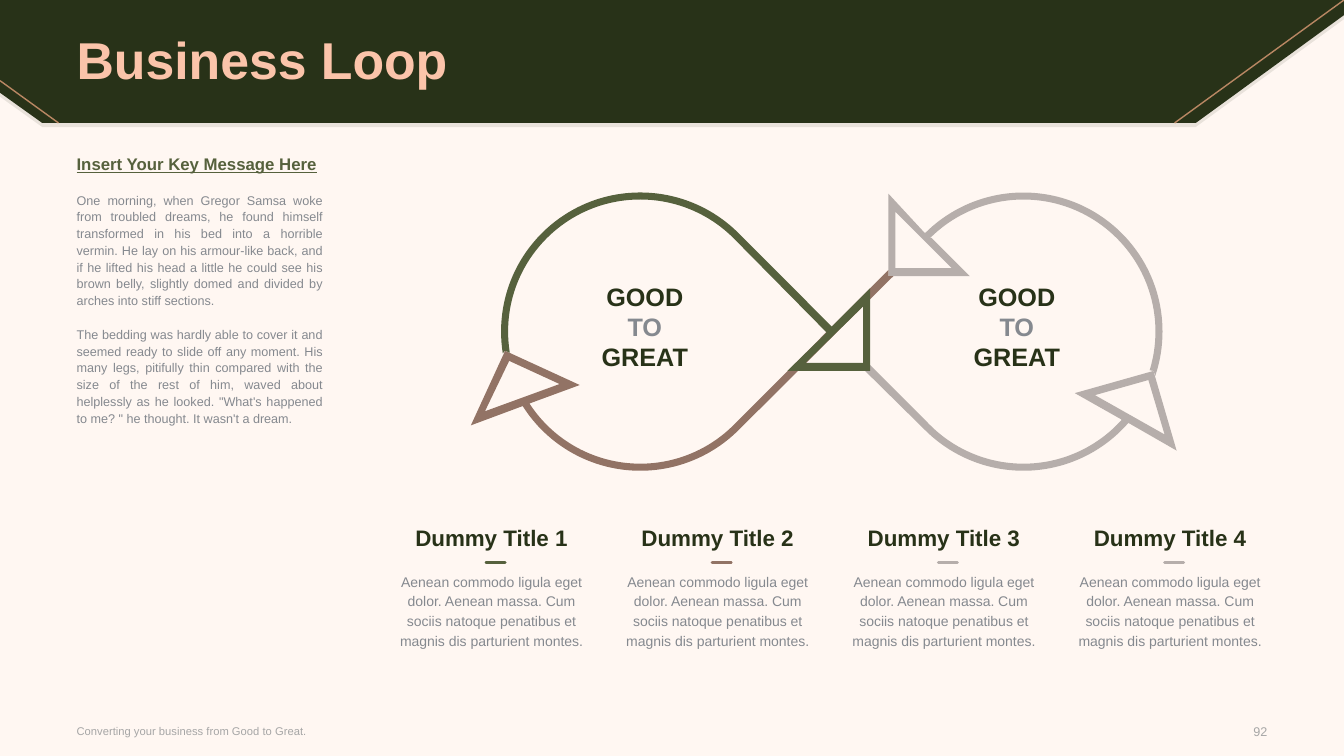
import math
from collections import namedtuple

from lxml import etree
from pptx import Presentation
from pptx import util as u
from pptx.dml.color import RGBColor
from pptx.enum import shapes, text
from pptx.oxml.ns import qn

PX = 9144
FONT = "Arial"
DARK, GREEN, BROWN, TAUPE = "283218", "56613D", "927365", "B6AEAB"
GREY, PALE, PEACH, COPPER, CREAM = "85898F", "A6A6A6", "FBC4AA", "B98763", "FFF7F2"
ALIGN = text.PP_ALIGN

Box = namedtuple("Box", "left top width height")
Curve = namedtuple("Curve", "leaving arriving end")


def px(length):
    return u.Emu(round(length * PX))


def inside(box, left, top, width, height):
    return Box(box.left + left, box.top + top, width, height)


def paint(color_holder, hex_color):
    color_holder.rgb = RGBColor.from_string(hex_color)


def style(paragraph, size, color, bold=False, align=ALIGN.LEFT, spacing=None):
    paragraph.font.name = FONT
    paragraph.font.size = u.Pt(size)
    paragraph.font.bold = bold
    paint(paragraph.font.color, color)
    paragraph.alignment = align
    paragraph.line_spacing = spacing


def prepare_frame(shape, anchor):
    frame = shape.text_frame
    frame.word_wrap = True
    frame.auto_size = text.MSO_AUTO_SIZE.NONE
    frame.vertical_anchor = anchor
    frame.margin_left = frame.margin_right = frame.margin_top = frame.margin_bottom = 0
    return frame


def place(shape, box):
    shape.left, shape.top, shape.width, shape.height = map(px, box)


def add_text(slide, box, wording, size, color, anchor=text.MSO_ANCHOR.TOP, **options):
    shape = slide.shapes.add_textbox(*map(px, box))
    frame = prepare_frame(shape, anchor)
    frame.text = wording
    for paragraph in frame.paragraphs:
        style(paragraph, size, color, **options)
    return frame


def add_line(slide, start, end, color, width, cap="flat"):
    line = slide.shapes.add_connector(
        shapes.MSO_CONNECTOR.STRAIGHT, *map(px, (*start, *end)))
    paint(line.line.color, color)
    line.line.width = u.Pt(width)
    line.element.spPr.find(qn("a:ln")).set("cap", cap)
    etree.SubElement(line.element.spPr, qn("a:effectLst"))


def add_outline(slide, box, contours, color, opacity=100):
    def on_slide(point):
        return px(box.left + point[0]), px(box.top + point[1])

    def end_of(step):
        return on_slide(step.end if isinstance(step, Curve) else step)

    builder = slide.shapes.build_freeform(*end_of(contours[0][0]), scale=1.0)
    for index, contour in enumerate(contours):
        if index:
            builder.move_to(*end_of(contour[0]))
        builder.add_line_segments([end_of(step) for step in contour[1:]], close=True)
    shape = builder.convert_to_shape()
    shape.shadow.inherit = False
    shape.fill.solid()
    paint(shape.fill.fore_color, color)
    shape.line.fill.background()
    if opacity < 100:
        tint = shape.element.spPr.find(".//" + qn("a:srgbClr"))
        etree.SubElement(tint, qn("a:alpha"), val=str(opacity * 1000))
    segments = list(shape.element.iter(qn("a:moveTo"), qn("a:lnTo")))
    steps = [step for contour in contours for step in contour]
    for segment, step in zip(segments, steps):
        if isinstance(step, Curve):
            bend = etree.Element(qn("a:cubicBezTo"))
            for point in step:
                x, y = on_slide(point)
                etree.SubElement(bend, qn("a:pt"), x=str(x - shape.left), y=str(y - shape.top))
            segment.getparent().replace(segment, bend)


def arc(center, radius, start, end):
    def at(angle, pull=0):
        cosine, sine = math.cos(angle), math.sin(angle)
        return (center[0] + radius * (cosine - pull * sine),
                center[1] + radius * (sine + pull * cosine))

    low, high = sorted((start, end))
    quarters = [a for a in range(-360, 361, 90) if low < a < high]
    angles = [math.radians(a) for a in sorted([start, *quarters, end], reverse=start > end)]
    steps = [at(angles[0])]
    for before, after in zip(angles, angles[1:]):
        pull = 4 / 3 * math.tan((after - before) / 4)
        steps.append(Curve(at(before, pull), at(after, -pull), at(after)))
    return steps


def add_header(slide, box):
    right, bottom = box.width, box.height
    banner = [(0, 0), (right, 0), (right, 15), (1186, bottom), (42, bottom), (0, 92)]
    for drop, opacity in ((4, 10), (0, 100)):
        add_outline(slide, inside(box, 0, drop, right, bottom), [banner], DARK, opacity)
    for start, end in (((right, 0), (1165, bottom)), ((58, bottom), (0, 80))):
        add_line(slide, (box.left + start[0], box.top + start[1]),
                 (box.left + end[0], box.top + end[1]), COPPER, 1)
    title = slide.shapes.title
    title.element.getparent().append(title.element)
    place(title, inside(box, 76, 4, 1181, 117))
    frame = prepare_frame(title, text.MSO_ANCHOR.MIDDLE)
    frame.text = "Business Loop"
    style(frame.paragraphs[0], 37, PEACH, bold=True, spacing=0.9)


def add_message(slide, box):
    body = slide.placeholders[1]
    body.element.getparent().append(body.element)
    place(body, box)
    frame = prepare_frame(body, text.MSO_ANCHOR.TOP)
    frame.text = "\n".join((
        "Insert Your Key Message Here",
        "One morning, when Gregor Samsa woke from troubled dreams, he found himself "
        "transformed in his bed into a horrible vermin. He lay on his armour-like back, "
        "and if he lifted his head a little he could see his brown belly, slightly domed "
        "and divided by arches into stiff sections.",
        "The bedding was hardly able to cover it and seemed ready to slide off any moment. "
        "His many legs, pitifully thin compared with the size of the rest of him, waved "
        "about helplessly as he looked. \"What's happened to me? \" he thought. "
        "It wasn't a dream.",
    ))
    for index, paragraph in enumerate(frame.paragraphs):
        heading = index == 0
        style(paragraph, 12 if heading else 9, GREEN if heading else GREY,
              bold=heading, align=ALIGN.JUSTIFY, spacing=u.Pt(12))
        paragraph.font.underline = heading
        paragraph.space_before = u.Pt(0 if heading else 12)
        properties = paragraph._p.get_or_add_pPr()
        properties.set("marL", "0")
        properties.set("indent", "0")
        properties.find(qn("a:spcBef")).addnext(etree.Element(qn("a:buNone")))


def add_loop(slide, box):
    left, right = (168, 139), (548, 139)
    outer, inner = 138, 131
    lower_right = [
        [(677, 178), (599, 200), (645, 226), *arc(right, inner, 42, 135),
         (396, 172), (396, 178), (391, 178), *arc(right, outer, 135, 41), (700, 257)],
        [(619, 202), (672, 187), (688, 241)]]
    upper_right = [
        [*arc(right, outer, 18, -135), (414, 2), (414, 84), (495, 84), (457, 46),
         *arc(right, inner, -135, 17), (677, 178), (679, 183)],
        [(477, 76), (421, 76), (421, 20)]]
    lower_left = [
        [(414, 84), (414, 78), *arc(left, inner, 45, 147), (108, 192), (34, 158),
         (0, 232), (51, 213), *arc(left, outer, 148, 45), (419, 84)],
        [(14, 218), (38, 168), (88, 191)]]
    upper_left = [
        [*arc(left, outer, -45, -189), (34, 158), (39, 160), *arc(left, inner, -189, -45),
         (353, 140), (314, 178), (396, 178), (396, 96), (358, 134)],
        [(389, 170), (332, 170), (389, 114)]]
    for contours, color in ((lower_right, TAUPE), (upper_right, TAUPE),
                            (lower_left, BROWN), (upper_left, GREEN)):
        add_outline(slide, box, contours, color)
    for label_left in (67, 436):
        frame = add_text(slide, inside(box, label_left, 89, 211, 99), "GOOD\nTO\nGREAT",
                         18, DARK, bold=True, align=ALIGN.CENTER)
        paint(frame.paragraphs[1].font.color, GREY)


def add_topic(slide, box, title, color):
    add_text(slide, inside(box, 0, 46, box.width, 79),
             "Aenean commodo ligula eget dolor. Aenean massa. Cum sociis natoque "
             "penatibus et magnis dis parturient montes.",
             10, GREY, align=ALIGN.CENTER, spacing=u.Pt(14))
    dash_left, dash_top = box.left + 91, box.top + 38
    add_line(slide, (dash_left, dash_top), (dash_left + 19, dash_top), color, 2, "rnd")
    add_text(slide, inside(box, 0, 0, box.width, 27), title, 16, DARK,
             bold=True, align=ALIGN.CENTER)


def add_topics(slide, box):
    colors = (GREEN, BROWN, TAUPE, TAUPE)
    width = 193
    step = (box.width - width) / (len(colors) - 1)
    for index, color in enumerate(colors):
        add_topic(slide, inside(box, index * step, 0, width, box.height),
                  f"Dummy Title {index + 1}", color)


def add_footer(slide, box):
    middle = text.MSO_ANCHOR.MIDDLE
    add_text(slide, inside(box, 0, 0, 523, box.height),
             "Converting your business from Good to Great.", 8, PALE, middle)
    add_text(slide, inside(box, box.width - 63, 1, 63, box.height), "92", 9, PALE,
             middle, align=ALIGN.RIGHT)


def main():
    presentation = Presentation()
    presentation.slide_width, presentation.slide_height = px(1333), px(750)
    slide = presentation.slides.add_slide(presentation.slide_layouts[1])
    slide.background.fill.solid()
    paint(slide.background.fill.fore_color, CREAM)
    add_header(slide, Box(0, 0, 1333, 122))
    add_message(slide, Box(76, 156, 244, 519))
    add_footer(slide, Box(76, 712, 1181, 26))
    add_topics(slide, Box(391, 520, 866, 125))
    add_loop(slide, Box(467, 190, 700, 282))
    presentation.save("out.pptx")


if __name__ == "__main__":
    main()
